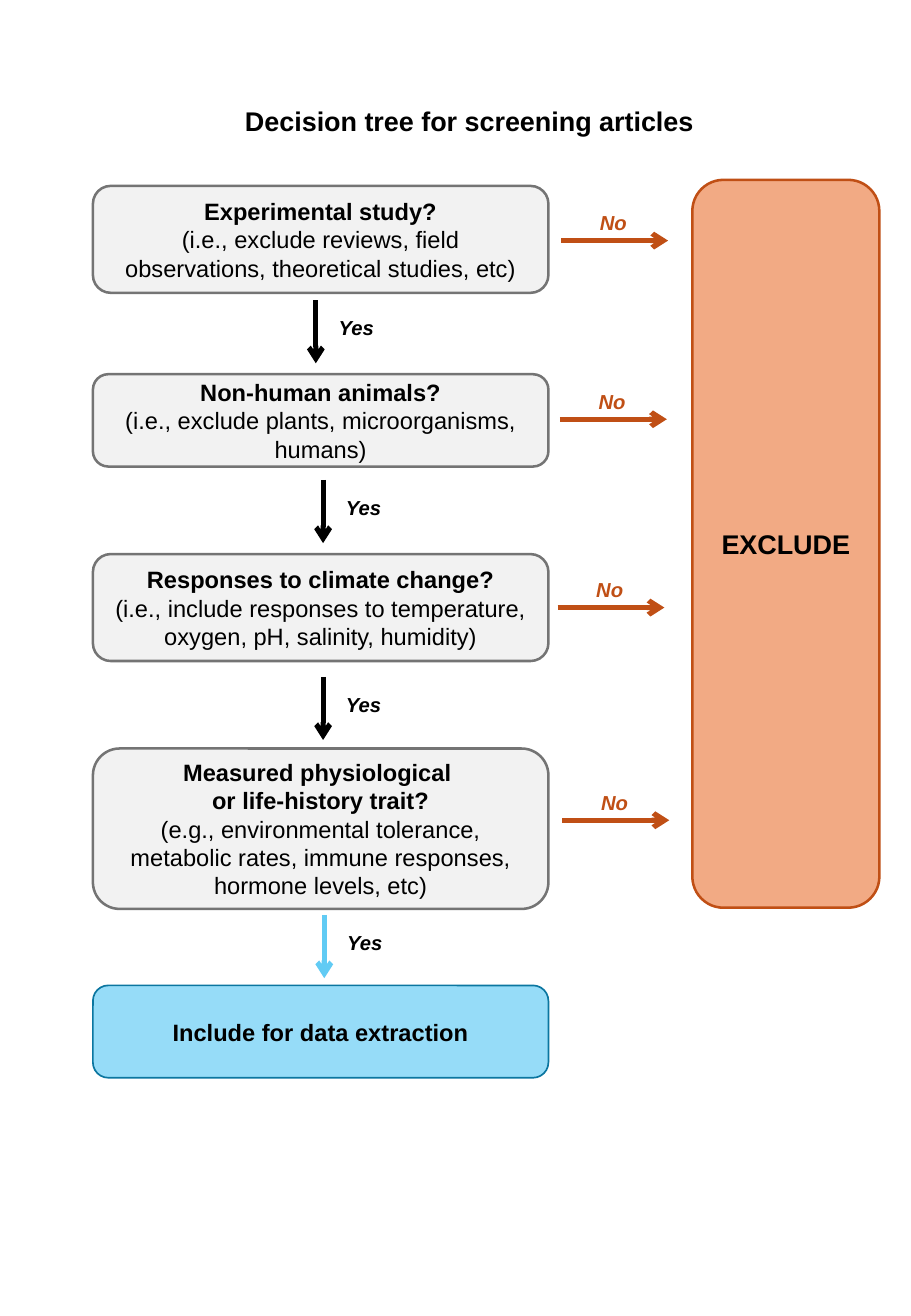
from pptx import Presentation, util as u
from pptx.dml.color import RGBColor
from pptx.enum import shapes as s, text as t
from pptx.oxml.ns import qn
from lxml import etree

# Grid: ten cells to the inch, 75 columns by 108.3 rows
COLS, ROWS = 75, 108.3
LEFT, WIDE = 7.65, 37.5
BLACK, RUST, SKY = "000000", "C04F15", "61CBF4"

# Each step: question, detail, box row, box rows,
# start column and row of the "No" arrow, then of the "Yes" arrow, its colour
STEPS = [
    ("Experimental study?",
     "(i.e., exclude reviews, field observations, theoretical studies, etc)",
     15.3, 8.8, (46.2, 19.8), (26, 24.7), BLACK),
    ("Non-human animals?",
     "(i.e., exclude plants, microorganisms, humans)",
     30.8, 7.6, (46.1, 34.5), (26.6, 39.5), BLACK),
    ("Responses to climate change?",
     "(i.e., include responses to temperature, oxygen, pH, salinity, humidity)",
     45.6, 8.8, (45.9, 50), (26.6, 55.7), BLACK),
    ("Measured physiological \vor life-history trait?",
     "(e.g., environmental tolerance, metabolic rates, immune responses, "
     "hormone levels, etc)",
     61.6, 13.2, (46.3, 67.5), (26.7, 75.3), SKY),
]


def cell(n):
    return u.Inches(n / 10)


def rgb(code):
    return RGBColor.from_string(code)


def write(frame, lines, size, color=BLACK, slant=False, align=t.PP_ALIGN.CENTER):
    """Fill a frame; the first line is bold, the rest are plain."""
    frame.word_wrap = True
    frame.text = "\n".join(lines)
    for i, para in enumerate(frame.paragraphs):
        para.alignment = align
        for run in para.runs:
            font = run.font
            font.name, font.size = "Arial", u.Pt(size)
            font.bold, font.italic = i == 0, slant
            font.color.rgb = rgb(color)


def box(slide, area, lines, fill, edge, width=1.5, size=14):
    shape = slide.shapes.add_shape(
        s.MSO_SHAPE.ROUNDED_RECTANGLE, *map(cell, area))
    shape.shadow.inherit = False
    shape.fill.solid()
    shape.fill.fore_color.rgb = rgb(fill)
    shape.line.color.rgb = rgb(edge)
    shape.line.width = u.Pt(width)
    shape.text_frame.vertical_anchor = t.MSO_ANCHOR.MIDDLE
    write(shape.text_frame, lines, size)


def arrow(slide, start, across, down, color):
    x, y = start
    line = slide.shapes.add_connector(
        s.MSO_CONNECTOR.STRAIGHT, *map(cell, (x, y, x + across, y + down)))
    line.line.color.rgb = rgb(color)
    line.line.width = u.Pt(3)
    etree.SubElement(line.line._get_or_add_ln(), qn("a:tailEnd"), type="arrow")
    etree.SubElement(line._element.spPr, qn("a:effectLst"))


def label(slide, word, x, y, width, color):
    frame = slide.shapes.add_textbox(*map(cell, (x, y, width, 3))).text_frame
    write(frame, [word], 12, color, True, t.PP_ALIGN.LEFT)
    frame.auto_size = t.MSO_AUTO_SIZE.SHAPE_TO_FIT_TEXT


def head(slide, words):
    title = slide.shapes.title
    title.left, title.top, title.width, title.height = map(
        cell, (2.3, 8.1, 72.7, 3.7))
    frame = title.text_frame
    write(frame, [words], 16)
    frame.vertical_anchor = t.MSO_ANCHOR.TOP
    frame.auto_size = t.MSO_AUTO_SIZE.SHAPE_TO_FIT_TEXT


def step(slide, ask, note, top, tall, no, yes, color):
    box(slide, (LEFT, top, WIDE, tall), [ask, note], "F2F2F2", "747474")
    arrow(slide, no, 8.8, 0, RUST)
    label(slide, "No", no[0] + 2.2, no[1] - 2.95, 4.9, RUST)
    arrow(slide, yes, 0, 5.2, color)
    label(slide, "Yes", yes[0] + 0.9, yes[1] + 0.75, 14.1, BLACK)


def main():
    deck = Presentation()
    deck.slide_width, deck.slide_height = cell(COLS), cell(ROWS)
    slide = deck.slides.add_slide(deck.slide_layouts[5])
    head(slide, "Decision tree for screening articles")

    # Questions with their two ways out
    for row in STEPS:
        step(slide, *row)

    # Outcomes
    box(slide, (57, 14.8, 15.4, 59.9), ["EXCLUDE"], "F2AA84", RUST, size=16)
    box(slide, (LEFT, 81.1, WIDE, 7.6), ["Include for data extraction"],
        "96DCF8", "0B76A0", width=1)
    deck.save("out.pptx")


if __name__ == "__main__":
    main()
